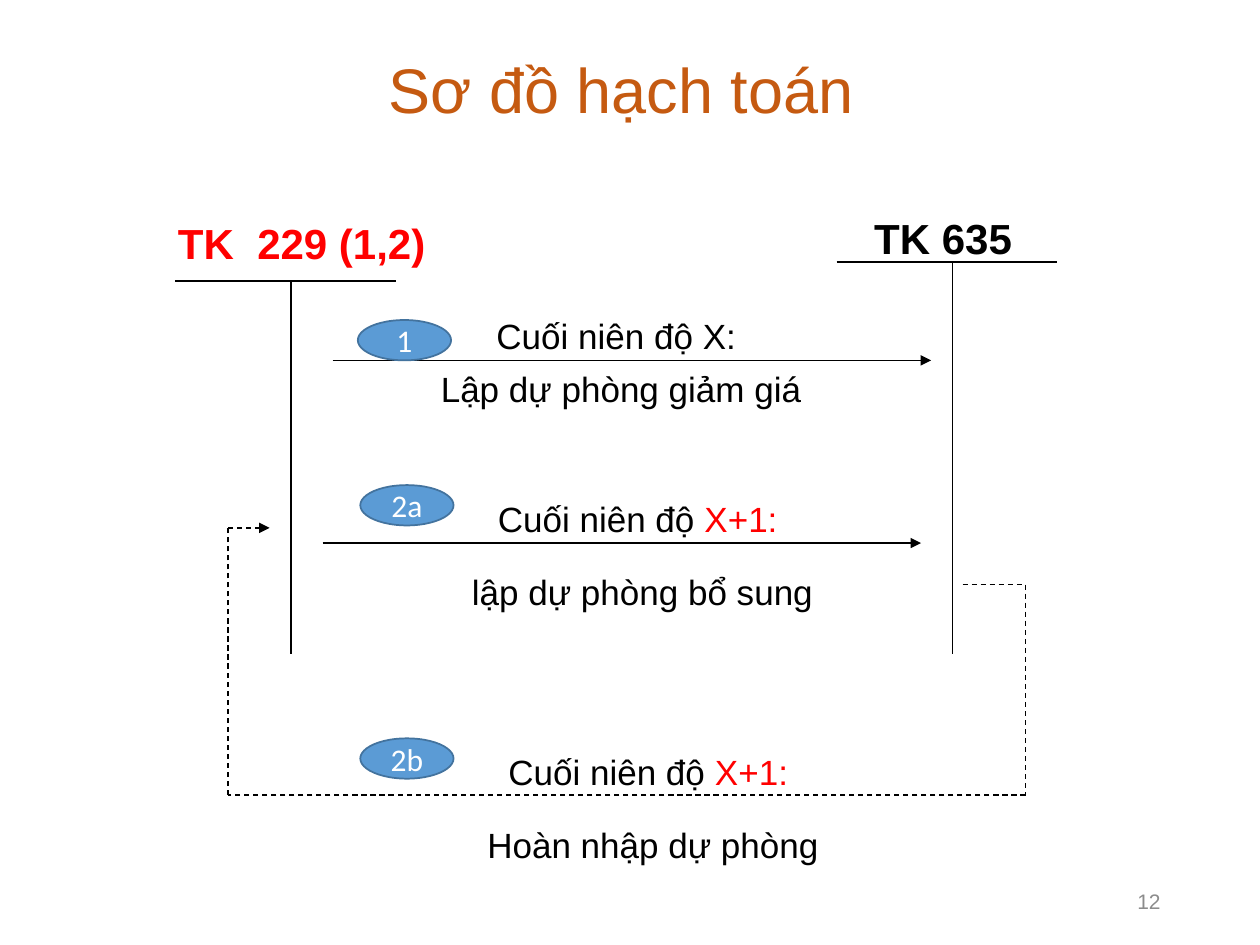
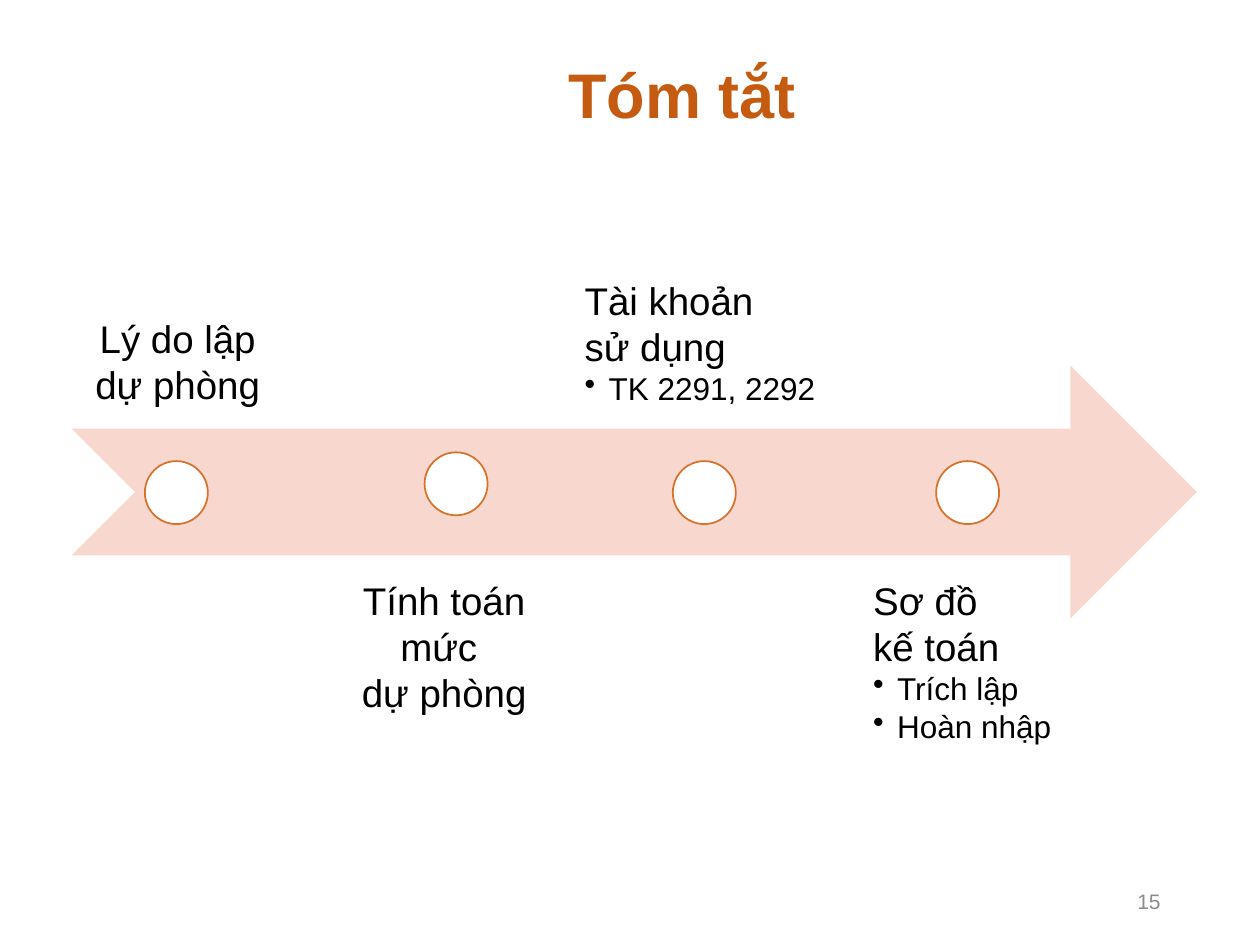
from lxml.etree import SubElement
from pptx import Presentation
from pptx.dml.color import RGBColor
from pptx.enum.dml import MSO_LINE
from pptx.enum.shapes import MSO_CONNECTOR, MSO_SHAPE
from pptx.enum.text import MSO_ANCHOR, MSO_AUTO_SIZE, PP_ALIGN
from pptx.oxml.ns import qn
from pptx.util import Pt

PX = 9144  # 100 px to the inch
COLORS = {
    "title": "C55A11", "text": "000000", "mark": "FF0000", "page": "8C8C8C",
    "badge": "5B9BD5", "edge": "43739E", "arrow": "F8D7CE", "ring": "D7712C",
    "white": "FFFFFF",
}
LEFT, CENTER, RIGHT = PP_ALIGN.LEFT, PP_ALIGN.CENTER, PP_ALIGN.RIGHT

# Slide 12: a paragraph is a list of (text, color) runs
FLOW = {"title": "Sơ đồ hạch toán ", "at": (69, 29, 862, 89), "page": "12"}
ACCOUNTS = [
    ("TK  229 (1,2)", "mark", (121, 168, 237, 59)),
    ("TK 635", "text", (665, 164, 167, 56)),
]
NOTES = [
    ((239, 250, 508, 67), 0, 1,
     [[("Cuối niên độ X: ", "text")], [("Lập dự phòng giảm giá", "text")]]),
    ((260, 373, 500, 122), 5, 1.5,
     [[("Cuối niên độ ", "text"), ("X+1: ", "mark")],
      [("lập dự phòng bổ sung", "text")]]),
    ((206, 574, 617, 76), 5, 1.5,
     [[("Cuối niên độ ", "text"), ("X+1:", "mark")],
      [(" Hoàn nhập dự phòng", "text")]]),
]
T_BARS = [(139, 223, 231), (664, 208, 756)]  # left, top, stem
T_WIDTH, T_FOOT = 175, 519
ARROWS = [(264, 286), (256, 431)]
ARROW_LEN = 475
RETURN = [(764, 464), (814, 464), (814, 631), (181, 631), (181, 419), (214, 419)]
BADGES = [("1", 284, 254), ("2a", 286, 385), ("2b", 286, 586)]

# Slide 15
SUMMARY = {"title": "Tóm tắt", "at": (133, 33, 817, 90), "page": "15"}
STEPS = [  # left, width, dot left, dot top, alignment, heads, points
    (57, 168, 115, 366, CENTER, ["Lý do lập dự phòng"], []),
    (245, 215, 337, 359, CENTER, ["Tính toán mức ", "dự phòng"], []),
    (447, 225, 534, 366, LEFT, ["Tài khoản", "sử dụng"], ["TK 2291, 2292"]),
    (676, 185, 743, 366, LEFT, ["Sơ đồ", "kế toán"], ["Trích lập", "Hoàn nhập"]),
]
BAND = (57, 290, 893, 201)
ROWS = [(139, MSO_ANCHOR.BOTTOM), (441, MSO_ANCHOR.TOP)]
DOT = 50


def emu(*nums):
    return [round(n * PX) for n in nums]


def rgb(name):
    return RGBColor.from_string(COLORS[name])


def write(para, runs, size=20, bold=False, align=CENTER, face="Arial",
          color="text", space=None, before=0, bullet=False):
    """Fill one paragraph from a string or a list of (text, color) runs."""
    para.alignment = align
    para.space_before = Pt(before)
    if space:
        para.line_spacing = space
    if bullet:
        para.level = 1
        props = para._p.get_or_add_pPr()
        props.set("marL", str(19 * PX))
        props.set("indent", str(-19 * PX))
        SubElement(props, qn("a:buChar"), char="•")
    for text, tint in [(runs, color)] if isinstance(runs, str) else runs:
        run = para.add_run()
        run.text = text
        run.font.size, run.font.bold, run.font.name = Pt(size), bold, face
        run.font.color.rgb = rgb(tint)


def add_text(slide, at, paras, pad=(10, 5), anchor=MSO_ANCHOR.TOP):
    """Add a text box; each of paras is (runs, format)."""
    frame = slide.shapes.add_textbox(*emu(*at)).text_frame
    frame.word_wrap = True
    frame.vertical_anchor = anchor
    frame.margin_left = frame.margin_right = pad[0] * PX
    frame.margin_top = frame.margin_bottom = pad[1] * PX
    for i, (runs, form) in enumerate(paras):
        para = frame.add_paragraph() if i else frame.paragraphs[0]
        write(para, runs, **form)


def add_form(slide, kind, at, fill, edge=None):
    form = slide.shapes.add_shape(kind, *emu(*at))
    form.shadow.inherit = False
    form.fill.solid()
    form.fill.fore_color.rgb = rgb(fill)
    if edge:
        form.line.color.rgb = rgb(edge)
        form.line.width = Pt(1)
    else:
        form.line.fill.background()
    return form


def add_line(slide, start, end, dash=False, head=False):
    link = slide.shapes.add_connector(MSO_CONNECTOR.STRAIGHT, *emu(*start, *end))
    link.line.color.rgb = rgb("text")
    link.line.width = Pt(0.75)
    if dash:
        link.line.dash_style = MSO_LINE.DASH
    if head:
        SubElement(link.line._get_or_add_ln(), qn("a:tailEnd"), type="triangle")
    SubElement(link._element.spPr, qn("a:effectLst"))


def add_slide(deck, info, bold=False):
    """Add a slide with the shared title style and page number."""
    slide = deck.slides.add_slide(deck.slide_layouts[5])
    title = slide.shapes.title
    title.left, title.top, title.width, title.height = emu(*info["at"])
    frame = title.text_frame
    frame.auto_size = MSO_AUTO_SIZE.NONE
    frame.vertical_anchor = MSO_ANCHOR.MIDDLE
    write(frame.paragraphs[0], info["title"], size=36, bold=bold,
          color="title", space=0.9)
    add_text(slide, (706, 695, 225, 40),
             [(info["page"], dict(size=12, color="page", align=RIGHT))],
             anchor=MSO_ANCHOR.MIDDLE)
    return slide


def draw_flow(deck):
    slide = add_slide(deck, FLOW)
    for left, top, stem in T_BARS:
        add_line(slide, (left, top), (left + T_WIDTH, top))
        add_line(slide, (stem, top), (stem, T_FOOT))
    for name, tint, at in ACCOUNTS:
        add_text(slide, at, [(name, dict(size=24, bold=True, color=tint))])
    for at, pad, space, paras in NOTES:
        add_text(slide, at, [(runs, dict(space=space, before=6 if i else 0))
                             for i, runs in enumerate(paras)], pad=(10, pad))
    for left, top in ARROWS:
        add_line(slide, (left, top), (left + ARROW_LEN, top), head=True)
    for start, end in zip(RETURN, RETURN[1:]):
        add_line(slide, start, end, dash=True, head=end == RETURN[-1])
    for label, left, top in BADGES:
        badge = add_form(slide, MSO_SHAPE.OVAL, (left, top, 74, 32), "badge", "edge")
        frame = badge.text_frame
        frame.vertical_anchor = MSO_ANCHOR.MIDDLE
        write(frame.paragraphs[0], label, size=18, face="Calibri", color="white")


def draw_summary(deck):
    slide = add_slide(deck, SUMMARY, bold=True)
    add_form(slide, MSO_SHAPE.NOTCHED_RIGHT_ARROW, BAND, "arrow")
    for i, (left, width, dot, high, align, heads, points) in enumerate(STEPS):
        top, anchor = ROWS[i % 2]
        paras = [(head, dict(size=22, align=align)) for head in heads]
        paras += [(point, dict(size=18, align=align, bullet=True))
                  for point in points]
        add_text(slide, (left, top, width, BAND[3]), paras, (17, 17), anchor)
        add_form(slide, MSO_SHAPE.OVAL, (dot, high, DOT, DOT), "white", "ring")


def main():
    deck = Presentation()
    deck.slide_width, deck.slide_height = emu(1000, 750)
    draw_flow(deck)
    draw_summary(deck)
    deck.save("out.pptx")


if __name__ == "__main__":
    main()
